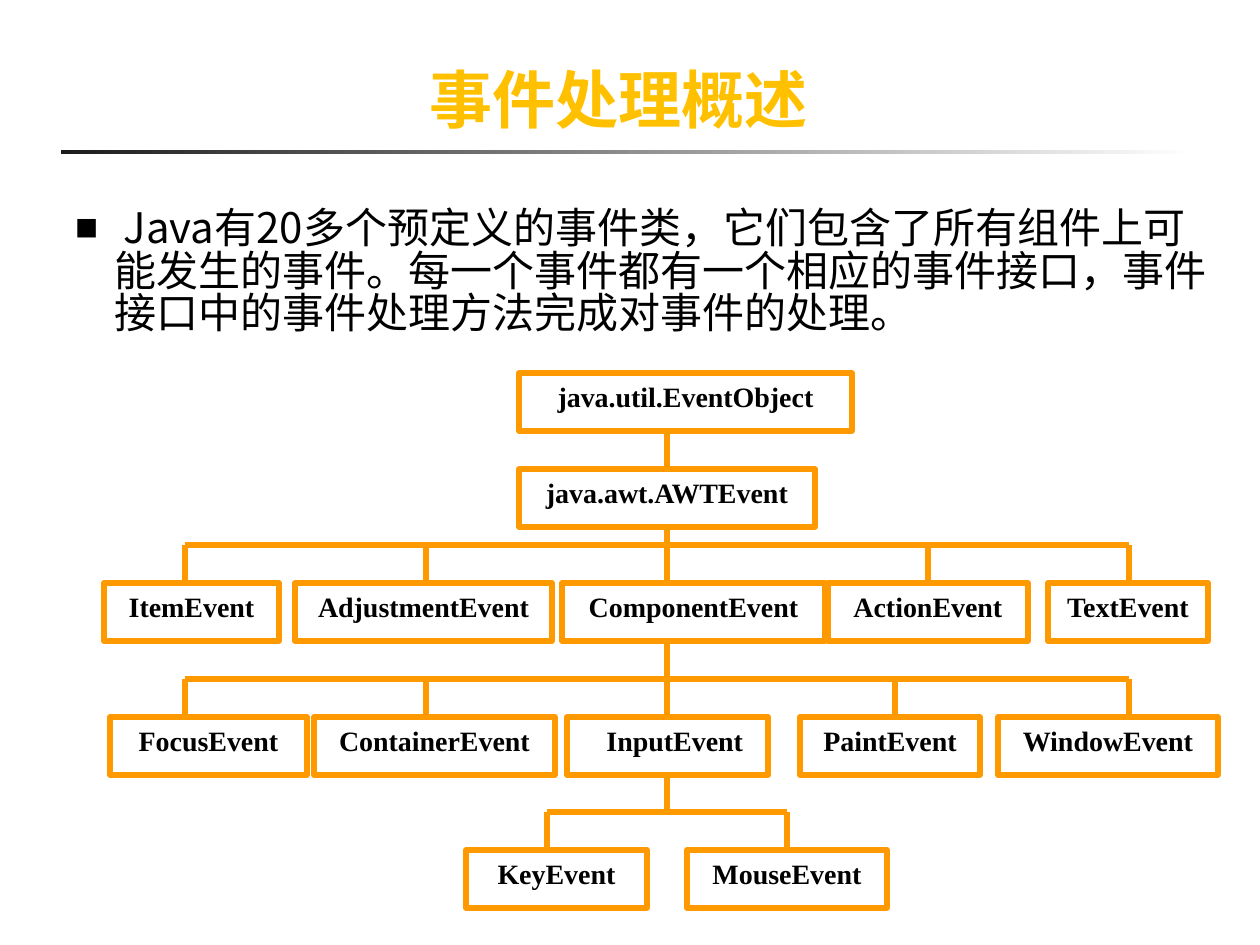
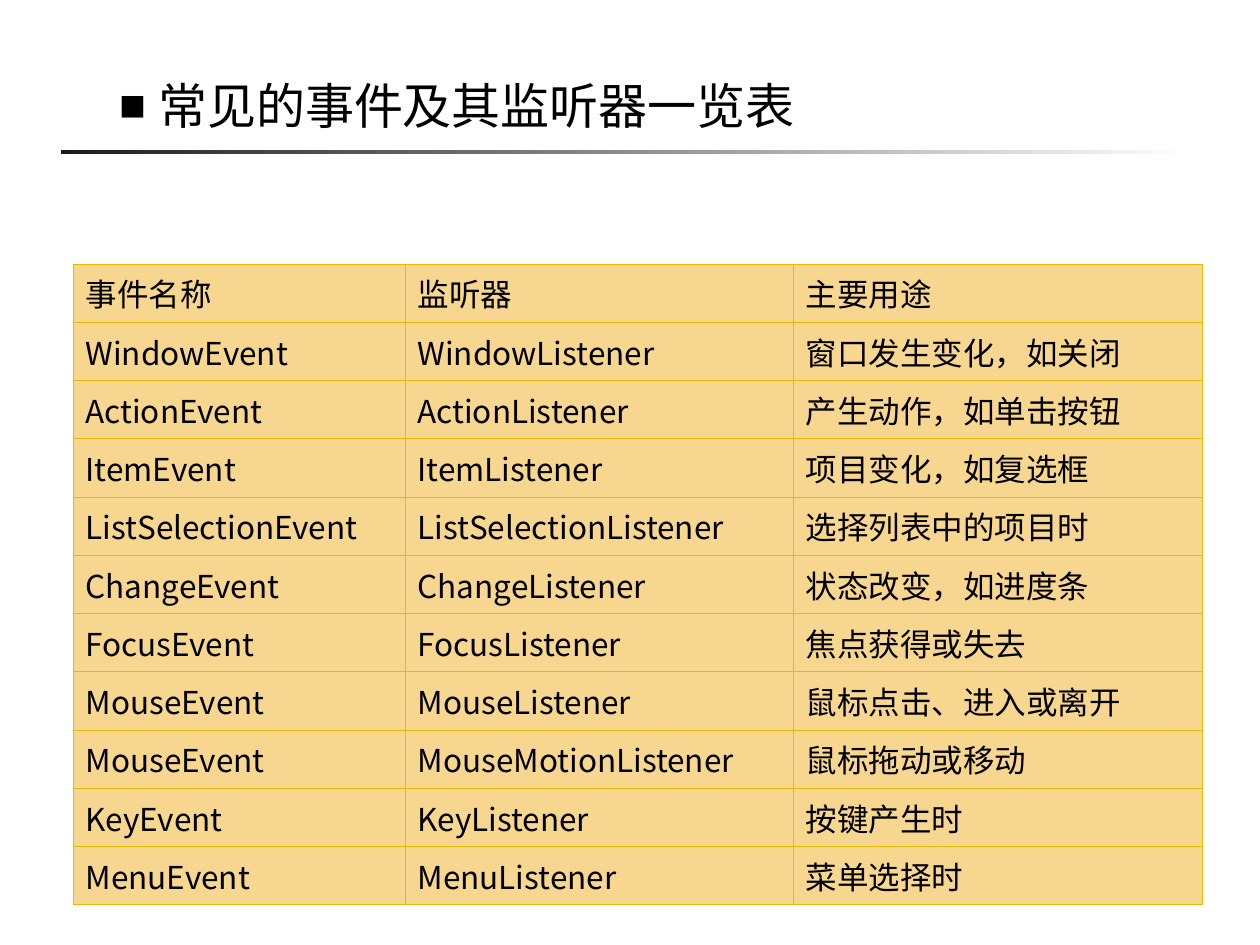
from pptx import Presentation
from pptx.dml.color import RGBColor
from pptx.enum.shapes import MSO_CONNECTOR, MSO_SHAPE
from pptx.enum.text import MSO_ANCHOR, PP_ALIGN
from pptx.oxml.ns import qn
from pptx.util import Pt
from lxml.etree import SubElement

SCALE = 914400 / 126
BLACK = RGBColor(0, 0, 0)
WHITE = RGBColor(255, 255, 255)
INK = RGBColor(0x1C, 0x1C, 0x1C)
GOLD = RGBColor(0xFF, 0xC0, 0x00)
ORANGE = RGBColor(0xFF, 0x99, 0x00)
SAND = RGBColor(0xF7, 0xD6, 0x90)
EDGE = RGBColor(0xE7, 0xBB, 0x01)
SC = "Noto Sans CJK SC"
JP = "Noto Sans CJK JP"
SERIF = "Times New Roman"

BOX_H = 58
DROP = 38
TRUNK = 667
# Each level: top, x of the drop lines, boxes as (left, width, name)
LEVELS = [
    (373, [], [(519, 333, "java.util.EventObject")]),
    (469, [TRUNK], [(519, 296, "java.awt.AWTEvent")]),
    (583, [185, 426, TRUNK, 928, 1129], [
        (104, 175, "ItemEvent"), (295, 257, "AdjustmentEvent"),
        (562, 263, "ComponentEvent"), (828, 200, "ActionEvent"),
        (1048, 160, "TextEvent")]),
    (717, [185, 426, TRUNK, 895, 1129], [
        (110, 197, "FocusEvent"), (314, 241, "ContainerEvent"),
        (567, 201, "InputEvent"), (800, 180, "PaintEvent"),
        (998, 220, "WindowEvent")]),
    (850, [547, 787], [(466, 181, "KeyEvent"), (687, 200, "MouseEvent")]),
]

ROWS = [
    ("事件名称", "监听器", "主要用途"),
    ("WindowEvent", "WindowListener", "窗口发生变化，如关闭"),
    ("ActionEvent", "ActionListener", "产生动作，如单击按钮"),
    ("ItemEvent", "ItemListener", "项目变化，如复选框"),
    ("ListSelectionEvent", "ListSelectionListener", "选择列表中的项目时"),
    ("ChangeEvent", "ChangeListener", "状态改变，如进度条"),
    ("FocusEvent", "FocusListener", "焦点获得或失去"),
    ("MouseEvent", "MouseListener", "鼠标点击、进入或离开"),
    ("MouseEvent", "MouseMotionListener", "鼠标拖动或移动"),
    ("KeyEvent", "KeyListener", "按键产生时"),
    ("MenuEvent", "MenuListener", "菜单选择时"),
]


def px(*vals):
    return [round(val * SCALE) for val in vals]


def style(run, size, face, color=BLACK, bold=False):
    font = run.font
    font.size, font.name, font.bold = Pt(size), face, bold
    font.color.rgb = color
    SubElement(font._element, qn("a:ea")).set("typeface", face)


def add_page(deck):
    """Add a blank slide with the fading rule below its heading."""
    page = deck.slides.add_slide(deck.slide_layouts[6])
    rule = page.shapes.add_shape(MSO_SHAPE.RECTANGLE, *px(61, 150, 1134, 4))
    rule.shadow.inherit = False
    rule.line.fill.background()
    rule.fill.gradient()
    rule.fill.gradient_angle = 0
    for stop, color, pos in zip(rule.fill.gradient_stops, (INK, WHITE), (0, 1)):
        stop.color.rgb = color
        stop.position = pos
    return page


def add_text(page, area, text):
    frame = page.shapes.add_textbox(*px(*area)).text_frame
    frame.word_wrap = True
    frame.text = text
    return frame


def add_title(page, text):
    frame = add_text(page, (52, 54, 1134, 88), text)
    frame.vertical_anchor = MSO_ANCHOR.MIDDLE
    para = frame.paragraphs[0]
    para.alignment = PP_ALIGN.CENTER
    style(para.runs[0], 36, JP, GOLD, True)


def add_point(page, area, text, size, inset):
    """Add a square-bulleted paragraph; inset is the top margin."""
    frame = add_text(page, area, text)
    frame.margin_top = px(inset)[0]
    para = frame.paragraphs[0]
    style(para.runs[0], size, SC)
    props = para._p.get_or_add_pPr()
    left, hang = px(102, -39)
    props.set("marL", str(left))
    props.set("indent", str(hang))
    SubElement(props, qn("a:buSzPct")).set("val", "55000")
    SubElement(props, qn("a:buFont")).set("typeface", SC)
    SubElement(props, qn("a:buChar")).set("char", "■")
    return para


def add_line(page, *ends):
    line = page.shapes.add_connector(MSO_CONNECTOR.STRAIGHT, *px(*ends))
    line.line.color.rgb = ORANGE
    line.line.width = Pt(3)
    SubElement(line._element.spPr, qn("a:effectLst"))


def add_box(page, left, top, width, name):
    box = page.shapes.add_shape(MSO_SHAPE.RECTANGLE, *px(left, top, width, BOX_H))
    box.shadow.inherit = False
    box.fill.background()
    box.line.color.rgb = ORANGE
    box.line.width = Pt(3)
    frame = box.text_frame
    frame.word_wrap = False
    frame.vertical_anchor = MSO_ANCHOR.TOP
    frame.text = name
    if name == "InputEvent":
        frame.margin_left = px(27)[0]
    para = frame.paragraphs[0]
    para.alignment = PP_ALIGN.CENTER
    style(para.runs[0], 16, SERIF, bold=True)


def add_tree(page):
    base = 0
    for top, drops, boxes in LEVELS:
        bar = top - DROP
        if len(drops) > 1:
            add_line(page, TRUNK, base, TRUNK, bar)
            add_line(page, drops[0], bar, drops[-1], bar)
        for x in drops:
            add_line(page, x, bar, x, top)
        for left, width, name in boxes:
            add_box(page, left, top, width, name)
        base = top + BOX_H


def add_edges(cell):
    props = cell._tc.get_or_add_tcPr()
    for spot, tag in enumerate(("a:lnL", "a:lnR", "a:lnT", "a:lnB")):
        edge = props.makeelement(qn(tag), {"w": str(Pt(0.5))})
        fill = SubElement(edge, qn("a:solidFill"))
        SubElement(fill, qn("a:srgbClr")).set("val", str(EDGE))
        props.insert(spot, edge)


def add_grid(page):
    area = px(73, 264, 1129, 641)
    table = page.shapes.add_table(len(ROWS), len(ROWS[0]), *area).table
    table.first_row = table.horz_banding = False
    for col, width in zip(table.columns, px(332, 388, 409)):
        col.width = width
    for row, texts in zip(table.rows, ROWS):
        for cell, text in zip(row.cells, texts):
            cell.text = text
            style(cell.text_frame.paragraphs[0].runs[0], 18, JP)
            cell.fill.solid()
            cell.fill.fore_color.rgb = SAND
            add_edges(cell)


def main():
    deck = Presentation()
    deck.slide_width, deck.slide_height = px(1260, 945)

    page = add_page(deck)
    add_title(page, "事件处理概述")
    para = add_point(
        page, (0, 194, 1237, 687),
        " Java有20多个预定义的事件类，它们包含了所有组件上可能发生的事件。"
        "每一个事件都有一个相应的事件接口，事件接口中的事件处理方法完成对事件的处理。",
        24, 16)
    para.line_spacing = 0.84
    add_tree(page)

    page = add_page(deck)
    add_point(page, (44, 76, 1071, 693), "常见的事件及其监听器一览表", 28, 0)
    add_grid(page)
    deck.save("out.pptx")


if __name__ == "__main__":
    main()
